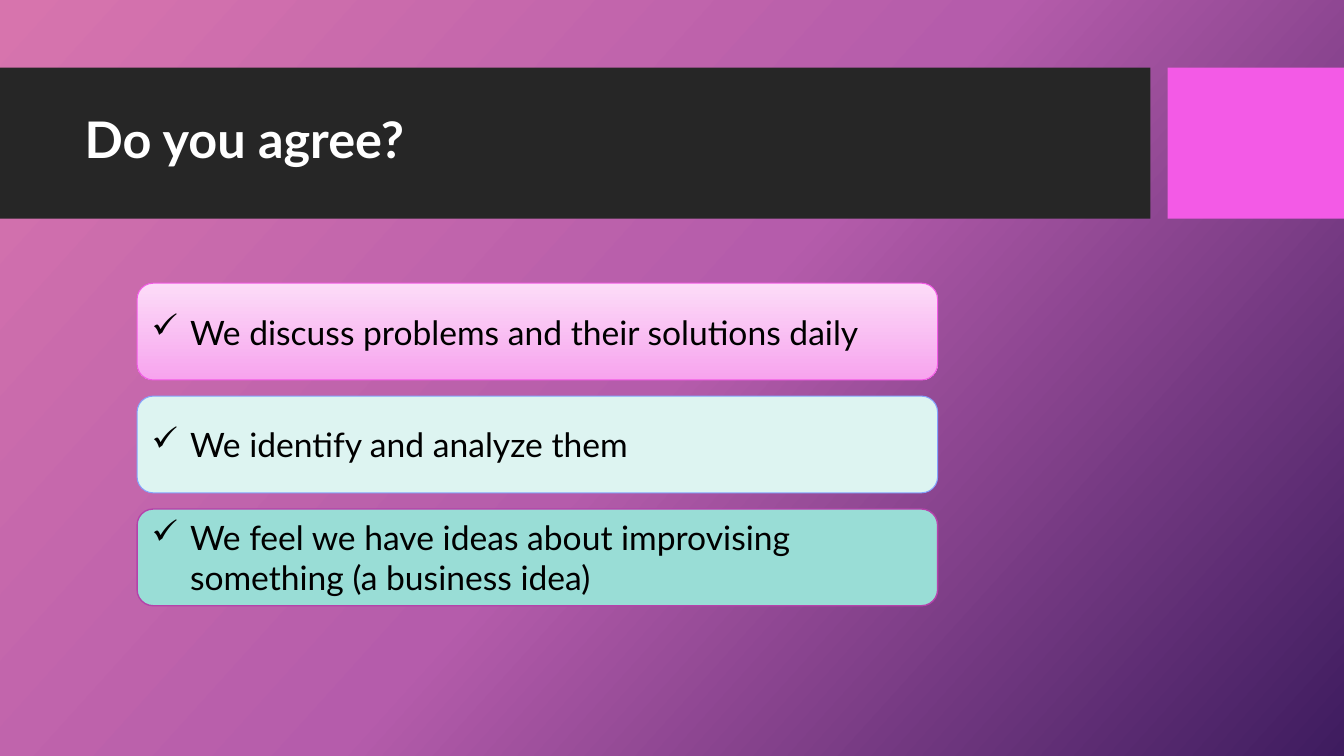
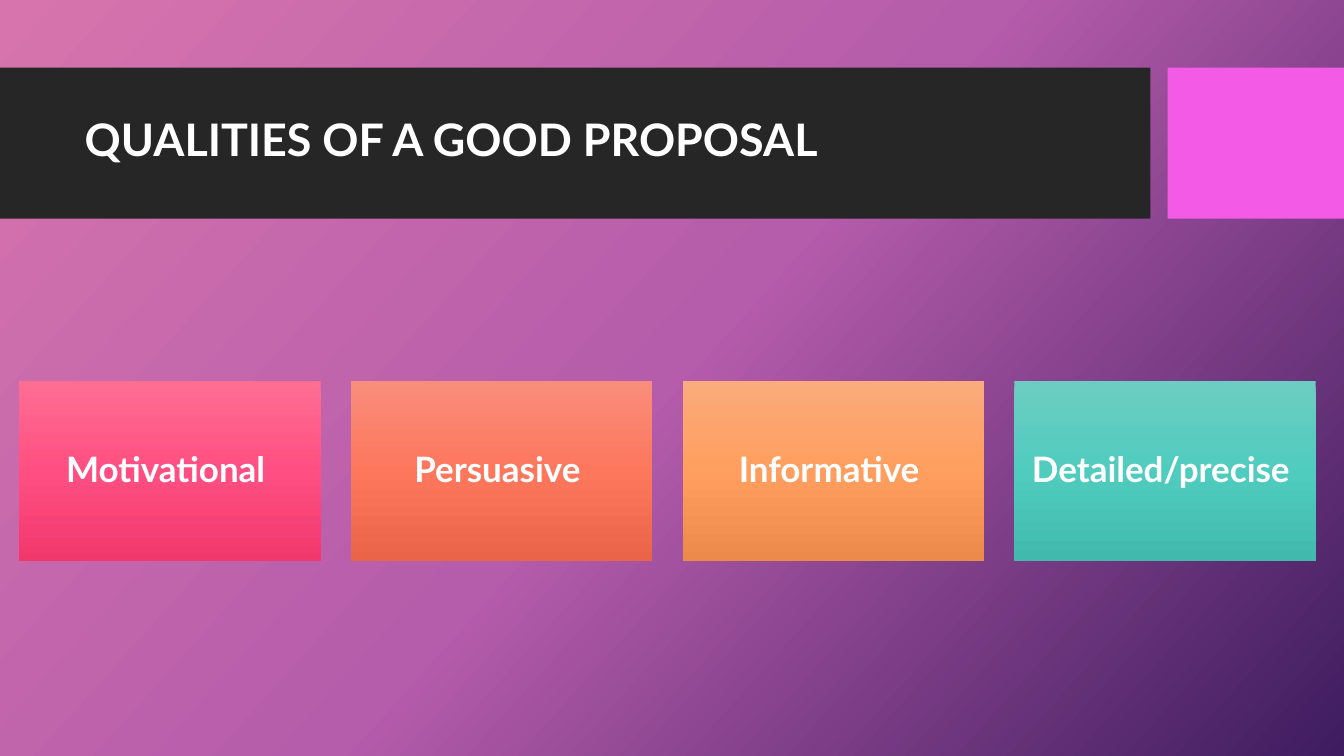
"""Build two slides about proposals on a shared gradient layout."""
import pptx
import pptx.dml.color
import pptx.enum.shapes
import pptx.enum.text
import pptx.oxml
import pptx.oxml.ns
import pptx.util

Inches = pptx.util.Inches
Pt = pptx.util.Pt
qn = pptx.oxml.ns.qn
ALIGN = pptx.enum.text.PP_ALIGN
SHAPE = pptx.enum.shapes.MSO_SHAPE

FONT = "Lato"
WHITE, BLACK, DARK, PINK = "FFFFFF", "000000", "262626", "F35AE6"
BACK = ["D774AD", "B55CAB", "3E1C5F"]
CHECKS = [
    ("We discuss problems and their solutions daily", ["FCDCF8", "F7A4EE"], PINK, 0.75),
    ("We identify and analyze them", ["DDF4F1"], "84A3FD", 0.75),
    ("We feel we have ideas about improvising something (a business idea)",
     ["99DDD6"], "B443AA", 1),
]
TILES = [
    ("Motivational ", ["FE6E93", "FF4F82", "F1386D"]),
    ("Persuasive ", ["F98D7B", "FD775D", "EA644A"]),
    ("Informative ", ["FBAB7C", "FF9E5E", "EB8A4B"]),
    ("Detailed/precise ", ["6ECDC2", "4FCCBE", "41BAAD"]),
]


def rgb(code):
    """Turn a hex string into a colour."""
    return pptx.dml.color.RGBColor.from_string(code)


def paint(owner, fill, tints, turn=90):
    """Fill with one colour, or with evenly spaced gradient stops."""
    if len(tints) == 1:
        fill.solid()
        fill.fore_color.rgb = rgb(tints[0])
        return
    fill.gradient()
    fill.gradient_angle = 360 - turn
    stops = next(owner.element.iter(qn("a:gsLst")))
    for stop in list(stops):
        stops.remove(stop)
    for i, tint in enumerate(tints):
        place = round(100000 * i / (len(tints) - 1))
        stops.append(pptx.oxml.parse_xml(
            f'<a:gs {pptx.oxml.ns.nsdecls("a")} pos="{place}">'
            f'<a:srgbClr val="{tint}"/></a:gs>'))


def write(shape, text, size, color=WHITE, bold=False, align=ALIGN.LEFT,
          lead=None, bullet=None):
    """Put one formatted paragraph in the middle of a shape."""
    frame = shape.text_frame
    frame.word_wrap = True
    frame.vertical_anchor = pptx.enum.text.MSO_ANCHOR.MIDDLE
    para = frame.paragraphs[0]
    para.alignment = align
    para.line_spacing = lead
    run = para.add_run()
    run.text = text
    font = run.font
    font.name, font.size, font.bold = FONT, Pt(size), bold
    font.color.rgb = rgb(color)
    if bullet:
        props = para._p.get_or_add_pPr()
        props.set("marL", str(Inches(0.38)))
        props.set("indent", str(-Inches(0.38)))
        props.append(pptx.oxml.parse_xml(
            f'<a:buChar {pptx.oxml.ns.nsdecls("a")} char="{bullet}"/>'))


def place(shape, *box):
    """Set left, top, width and height in inches."""
    shape.left, shape.top, shape.width, shape.height = map(Inches, box)


def block(slide, kind, box, tints, edge=None, width=0.75):
    """Add a flat or gradient shape with an optional outline."""
    shape = slide.shapes.add_shape(kind, *map(Inches, box))
    shape.shadow.inherit = False
    paint(shape, shape.fill, tints)
    if edge:
        shape.line.color.rgb = rgb(edge)
        shape.line.width = Pt(width)
    else:
        shape.line.fill.background()
    return shape


def dress(layout, slide):
    """Give the layout its background, title place and bands."""
    paint(layout, layout.background.fill, BACK, turn=42)
    place(layout.placeholders[0], 0.74, 0.82, 10.51, 1.18)
    bands = [((0, 0.67, 11.41, 1.5), DARK), ((11.58, 0.67, 1.75, 1.5), PINK)]
    for box, tint in bands:
        band = block(slide, SHAPE.RECTANGLE, box, [tint])
        layout.shapes.element.insert(2, band.element)


def head(slide, text, size):
    """Write the slide title."""
    write(slide.shapes.title, text, size, bold=True, lead=0.9)


def checks(slide):
    """Stack the ticked statements."""
    for i, (text, tints, edge, width) in enumerate(CHECKS):
        box = (1.36, 2.81 + 1.12 * i, 7.94, 0.96)
        card = block(slide, SHAPE.ROUNDED_RECTANGLE, box, tints, edge, width)
        write(card, text, 24, color=BLACK, bullet="✓")


def tiles(slide):
    """Set the qualities in a row."""
    for i, (text, tints) in enumerate(TILES):
        box = (0.19 + 3.29 * i, 3.78, 2.99, 1.79)
        tile = block(slide, SHAPE.RECTANGLE, box, tints)
        frame = tile.text_frame
        frame.margin_top = frame.margin_bottom = Inches(0.1)
        write(tile, text, 25, bold=True, align=ALIGN.CENTER, lead=0.9)


def main():
    """Build and save the deck."""
    deck = pptx.Presentation()
    deck.slide_width, deck.slide_height = Inches(13.33), Inches(7.5)
    layout = deck.slide_layouts.get_by_name("Title Only")
    first, second = (deck.slides.add_slide(layout) for _ in range(2))
    dress(layout, first)
    head(first, "Do you agree?", 36)
    checks(first)
    head(second, "QUALITIES OF A GOOD PROPOSAL", 32)
    tiles(second)
    deck.save("out.pptx")


if __name__ == "__main__":
    main()
